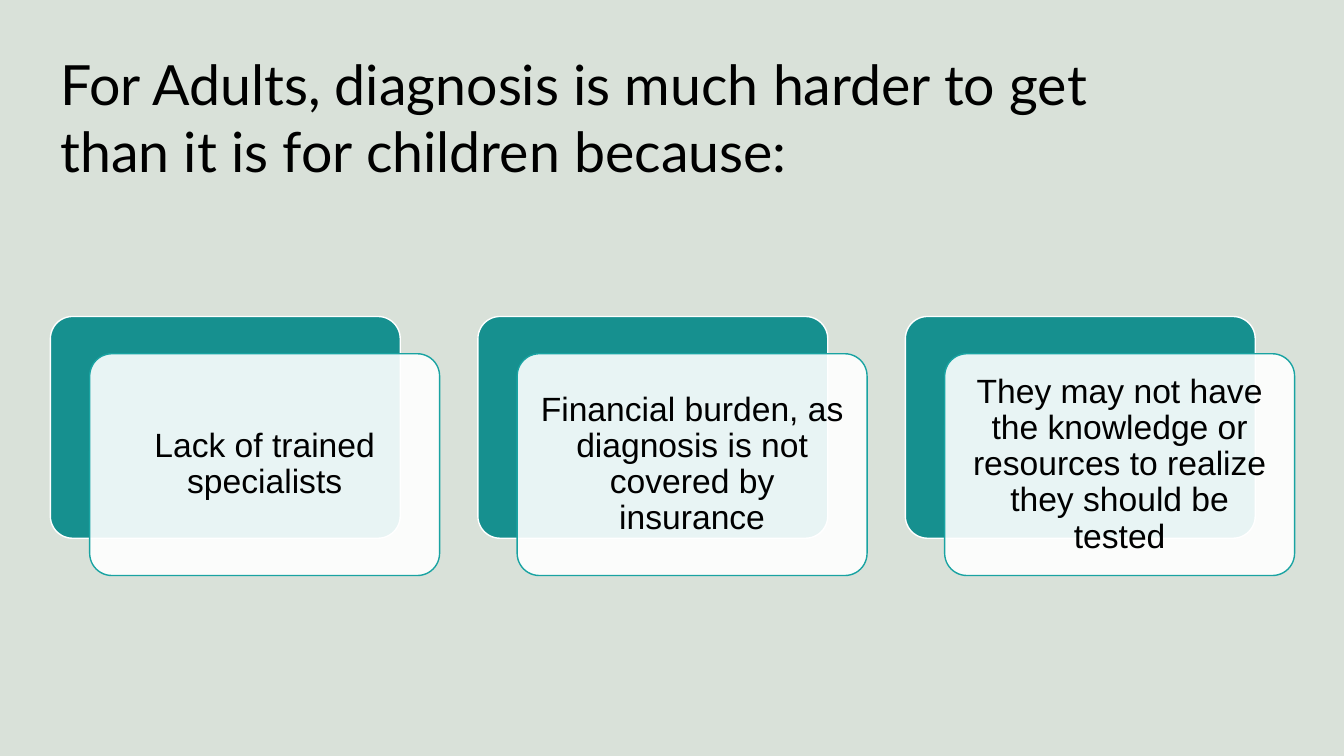
from lxml import etree
from pptx import Presentation
from pptx.dml.color import RGBColor
from pptx.enum.shapes import MSO_SHAPE as Shape
from pptx.enum.text import MSO_ANCHOR as Anchor, MSO_AUTO_SIZE as AutoSize, PP_ALIGN as Align
from pptx.oxml.ns import qn
from pptx.util import Inches, Pt

TITLE = "For Adults, diagnosis is much harder to get than it is for children because:"
REASONS = [
    "Lack of trained specialists",
    "Financial burden, as diagnosis is not covered by insurance",
    "They may not\u00a0have the knowledge or resources to realize they should be tested",
]
SAGE, TEAL, TEAL_EDGE, WHITE, BLACK = "D9E1D9", "16908F", "19A3A2", "FFFFFF", "000000"
CARD_WIDTH, CARD_HEIGHT = 3.47, 2.2
OFFSET_X, OFFSET_Y = 0.39, 0.37


def paint(color_format, hex_color):
    color_format.rgb = RGBColor.from_string(hex_color)


def set_font(paragraph, name, size):
    paragraph.font.name = name
    paragraph.font.size = Pt(size)
    paint(paragraph.font.color, BLACK)


def add_title(slide, left, top, width, height):
    title = slide.shapes.title
    title.left, title.top, title.width, title.height = map(Inches, (left, top, width, height))
    frame = title.text_frame
    frame.text = TITLE
    frame.word_wrap = True
    frame.auto_size = AutoSize.NONE
    frame.vertical_anchor = Anchor.MIDDLE
    heading = frame.paragraphs[0]
    heading.alignment = Align.LEFT
    set_font(heading, "Lato", 39.6)


def add_card(slide, left, top, fill, edge, opacity=100):
    card = slide.shapes.add_shape(
        Shape.ROUNDED_RECTANGLE, *map(Inches, (left, top, CARD_WIDTH, CARD_HEIGHT)))
    card.adjustments[0] = 0.1
    card.shadow.inherit = False
    card.fill.solid()
    paint(card.fill.fore_color, fill)
    if opacity < 100:
        color = card.fill._xPr.find(qn("a:solidFill"))[0]
        etree.SubElement(color, qn("a:alpha"), val=str(opacity * 1000))
    paint(card.line.color, edge)
    card.line.width = Pt(1)
    return card


def add_reason(slide, left, top, reason):
    """Place a teal card with a translucent text card shifted over it."""
    add_card(slide, left, top, TEAL, WHITE)
    front = add_card(slide, left + OFFSET_X, top + OFFSET_Y, WHITE, TEAL_EDGE, opacity=90)
    frame = front.text_frame
    frame.text = reason
    frame.word_wrap = True
    frame.vertical_anchor = Anchor.MIDDLE
    # The rounded corners already inset the text a little.
    frame.margin_left = frame.margin_right = Inches(0.1)
    frame.margin_top = frame.margin_bottom = Inches(0.1)
    sentence = frame.paragraphs[0]
    sentence.alignment = Align.CENTER
    sentence.line_spacing = 0.9
    set_font(sentence, "Arial", 24)


def add_reasons(slide, left, top, pitch):
    for index, reason in enumerate(REASONS):
        add_reason(slide, left + index * pitch, top, reason)


def main():
    deck = Presentation()
    deck.slide_width, deck.slide_height = Inches(13.33), Inches(7.5)
    slide = deck.slides.add_slide(deck.slide_layouts[5])
    slide.background.fill.solid()
    paint(slide.background.fill.fore_color, SAGE)
    add_title(slide, 0.5, 0.4, 10.72, 1.52)
    add_reasons(slide, left=0.5, top=3.14, pitch=4.24)
    deck.save("out.pptx")


if __name__ == "__main__":
    main()
